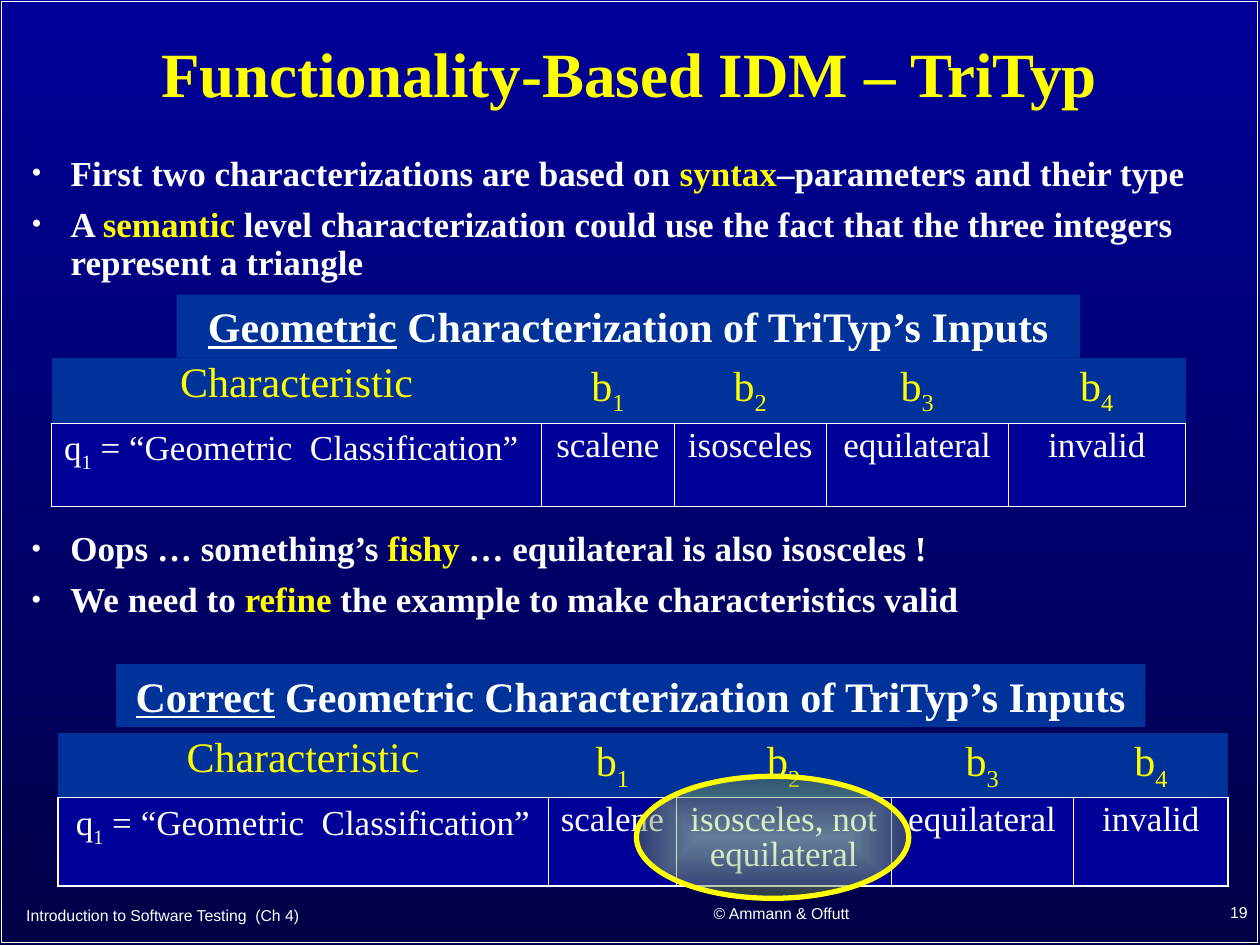
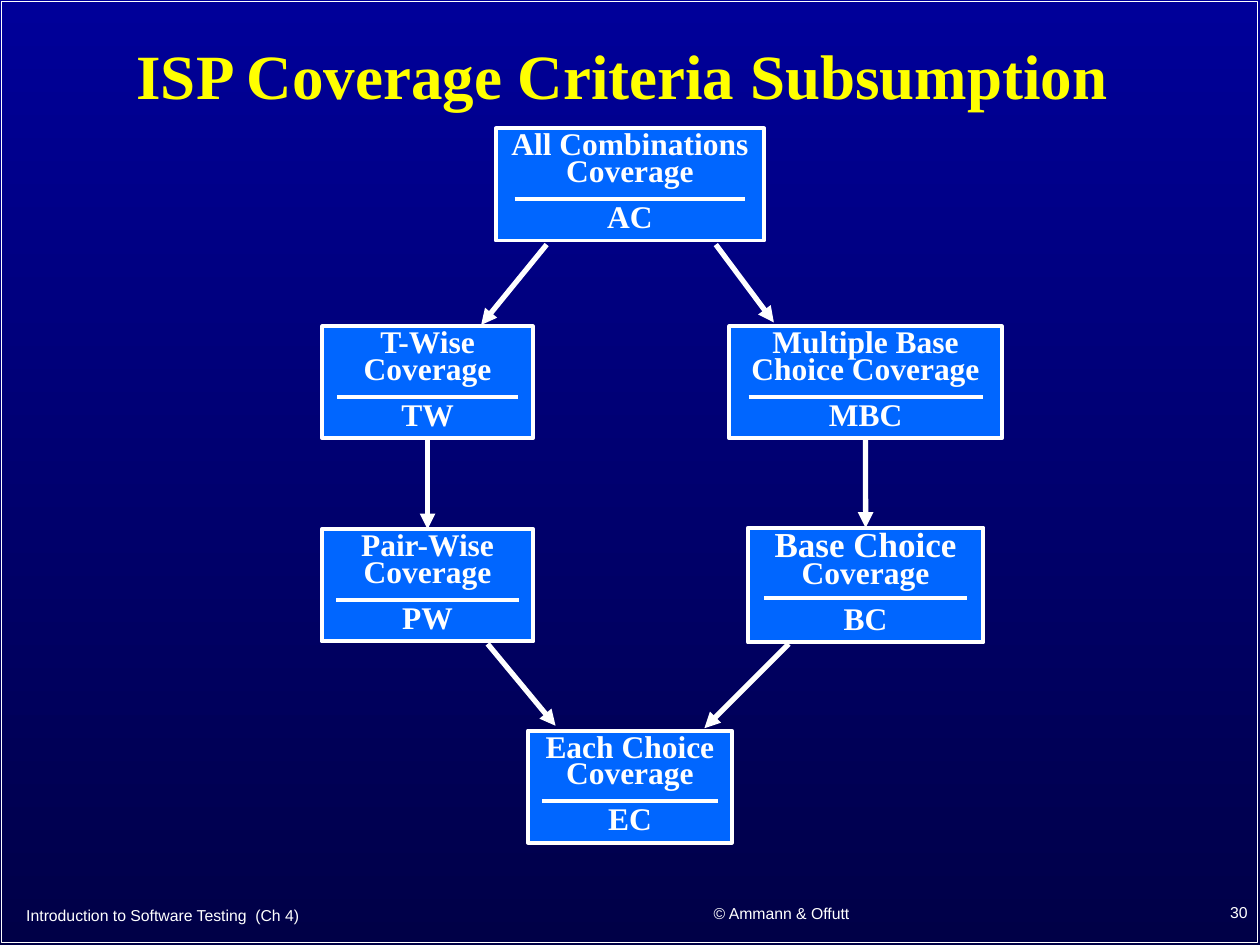
from pptx import Presentation
from pptx.dml.color import RGBColor
from pptx.enum.shapes import MSO_CONNECTOR, MSO_SHAPE
from pptx.enum.text import MSO_ANCHOR, MSO_AUTO_SIZE, PP_ALIGN
from pptx.oxml import parse_xml
from pptx.oxml.ns import nsdecls, qn
from pptx.util import Cm, Pt

# Shared style
SERIF, SANS = "Times New Roman", "Arial"
WHITE, YELLOW = "FFFFFF", "FFFF00"
NAVY, NIGHT, BAND, NODE = "000099", "000047", "003399", "0066FF"
LEFT, CENTER, RIGHT = PP_ALIGN.LEFT, PP_ALIGN.CENTER, PP_ALIGN.RIGHT
HAIR, OUTLINE = 0.45, 1.08
NO_STYLE = "{2D5ABB26-0587-4C30-8999-92F81FD0307C}"


def rgb(color):
    return RGBColor.from_string(color)


def xml(tag, inner="", **attrs):
    pairs = "".join(f' {k}="{v}"' for k, v in attrs.items())
    return parse_xml(f"<a:{tag} {nsdecls('a')}{pairs}>{inner}</a:{tag}>")


def write(p, text, mark=None, **fmt):
    """Add runs to a paragraph; the parts between asterisks also take the mark format."""
    for i, part in enumerate(text.split("*")):
        if not part:
            continue
        style = {"size": 20, "color": WHITE, "font": SERIF, **fmt}
        if i % 2:
            style.update(mark)
        r = p.add_run()
        r.text = part
        r.font.name = style["font"]
        r.font.size = Pt(style["size"])
        r.font.color.rgb = rgb(style["color"])
        r.font.bold = style.get("bold", False)
        r.font.underline = style.get("underline", False)
        if "baseline" in style:
            r.font._element.set("baseline", str(style["baseline"]))


class Deck:
    def __init__(self):
        self.prs = Presentation()
        self.prs.slide_width, self.prs.slide_height = Cm(25.4), Cm(19.05)
        fill = self.prs.slide_master.background.fill
        fill.gradient()
        fill.gradient_angle = 270
        for stop, color in zip(fill.gradient_stops, (NAVY, NIGHT)):
            stop.color.rgb = rgb(color)
        self.s = None

    def slide(self, layout, title, title_box, number):
        self.s = self.prs.slides.add_slide(self.prs.slide_layouts[layout])
        self.shape(MSO_SHAPE.RECTANGLE, (0.03, 0.03, 25.32, 18.97), line=WHITE, width=1)
        # Title
        sp = self.s.shapes.title
        self.place(sp, title_box)
        tf = self.frame(sp, MSO_ANCHOR.MIDDLE)
        self.para(tf, 0, title, align=CENTER, spacing=0.9, size=36, color=YELLOW, bold=True)
        # Footers
        for text, box, align in (
            ("Introduction to Software Testing  (Ch 4)", (0.28, 17.96, 10.95, 0.97), LEFT),
            ("© Ammann & Offutt", (11.73, 17.91, 8.05, 0.99), CENTER),
            (str(number), (20.12, 17.88, 5.28, 1.02), RIGHT),
        ):
            tf = self.frame(self.textbox(box), MSO_ANCHOR.MIDDLE)
            self.para(tf, 0, text, align=align, size=9, font=SANS)

    def place(self, sp, box):
        sp.left, sp.top, sp.width, sp.height = map(Cm, box)

    def textbox(self, box):
        return self.s.shapes.add_textbox(*map(Cm, box))

    def frame(self, sp, anchor=MSO_ANCHOR.TOP):
        tf = sp.text_frame
        tf.word_wrap = True
        tf.auto_size = MSO_AUTO_SIZE.NONE
        tf.vertical_anchor = anchor
        return tf

    def para(self, tf, i, text, align=LEFT, spacing=1.0, before=0, bullet=False, **fmt):
        p = tf.add_paragraph() if i else tf.paragraphs[0]
        if bullet:
            pPr = p._p.get_or_add_pPr()
            pPr.set("marL", str(Cm(0.79)))
            pPr.set("indent", str(-Cm(0.79)))
            pPr.append(xml("buClr", f'<a:srgbClr val="{WHITE}"/>'))
            pPr.append(xml("buSzPct", val=85000))
            pPr.append(xml("buFont", typeface=SERIF))
            pPr.append(xml("buChar", char="•"))
        p.alignment = align
        p.line_spacing = spacing
        p.space_before = Pt(before if i else 0)
        write(p, text, **fmt)

    def bullets(self, sp, box, items):
        self.place(sp, box)
        tf = self.frame(sp)
        for i, item in enumerate(items):
            self.para(tf, i, item, spacing=0.9, before=7.5, bullet=True,
                      bold=True, mark={"color": YELLOW})

    def shape(self, kind, box, fill=None, line=None, width=1):
        sp = self.s.shapes.add_shape(kind, *map(Cm, box))
        sp.shadow.inherit = False
        if fill:
            sp.fill.solid()
            sp.fill.fore_color.rgb = rgb(fill)
        else:
            sp.fill.background()
        if line:
            sp.line.color.rgb = rgb(line)
            sp.line.width = Pt(width)
        else:
            sp.line.fill.background()
        return sp

    def heading(self, text, box):
        tf = self.frame(self.shape(MSO_SHAPE.RECTANGLE, box, BAND))
        self.para(tf, 0, text, align=CENTER, size=24, bold=True, mark={"underline": True})

    def table(self, left, top, cols, rows, cells, first_align):
        box = (left, top, sum(cols), sum(rows))
        t = self.s.shapes.add_table(len(rows), len(cols), *map(Cm, box)).table
        t.first_row = t.horz_banding = False
        t._tbl.tblPr.find(qn("a:tableStyleId")).text = NO_STYLE
        for col, width in zip(t.columns, cols):
            col.width = Cm(width)
        for row, height in zip(t.rows, rows):
            row.height = Cm(height)
        last = len(cols) - 1
        for i, texts in enumerate(cells):
            for j, text in enumerate(texts):
                cell = t.cell(i, j)
                if i == 0:
                    self.borders(cell, B=HAIR)
                else:
                    self.borders(cell, L=HAIR if j else OUTLINE,
                                 R=OUTLINE if j == last else HAIR, T=HAIR, B=OUTLINE)
                cell.fill.solid()
                cell.fill.fore_color.rgb = rgb(NAVY if i else BAND)
                self.para(cell.text_frame, 0, text, spacing=0.9,
                          align=first_align if i and j == 0 else CENTER,
                          size=20 if i else 24, color=WHITE if i else YELLOW,
                          mark={"baseline": -25000})

    def borders(self, cell, **sides):
        tcPr = cell._tc.get_or_add_tcPr()
        solid = f'<a:solidFill><a:srgbClr val="{WHITE}"/></a:solidFill>'
        for side, width in sides.items():
            tcPr.append(xml(f"ln{side}", solid, w=int(Pt(width))))

    def highlight(self, box):
        sp = self.shape(MSO_SHAPE.OVAL, box, line=YELLOW, width=3)
        stops = "".join(
            f'<a:gs pos="{pos}"><a:srgbClr val="{color}"><a:alpha val="{alpha}"/></a:srgbClr></a:gs>'
            for pos, color, alpha in ((0, "CCFF99", 50000), (100000, "5E7647", 48000)))
        grad = xml("gradFill", f'<a:gsLst>{stops}</a:gsLst><a:path path="rect">'
                   '<a:fillToRect l="50000" t="50000" r="50000" b="50000"/></a:path>')
        spPr = sp._element.spPr
        spPr.replace(spPr.find(qn("a:noFill")), grad)

    def connector(self, ends=(0, 0, 0, 0), width=3, arrow=True):
        c = self.s.shapes.add_connector(MSO_CONNECTOR.STRAIGHT, *map(Cm, ends))
        c.line.color.rgb = rgb(WHITE)
        c.line.width = Pt(width)
        spPr = c._element.spPr
        if arrow:
            spPr.find(qn("a:ln")).append(xml("tailEnd", type="triangle"))
        spPr.append(xml("effectLst"))
        return c

    def criterion(self, name, short, center, top, width, height=2.26):
        left = center - width / 2
        sp = self.shape(MSO_SHAPE.RECTANGLE, (left, top, width, height), NODE, WHITE, 2.25)
        tf = self.frame(sp)
        for i, text in enumerate((name, short)):
            self.para(tf, i, text, align=CENTER, spacing=0.7, before=11.2,
                      size=18, bold=True, mark={"size": 20})
        # Rule between name and abbreviation
        inset, y = 0.07 * width, top + 1.42
        self.connector((left + inset, y, left + width - inset, y), 2.25, arrow=False)
        return sp


def tritype_slide(d):
    d.slide(1, "Functionality-Based IDM – TriTyp", (0.38, 0.28, 24.61, 2.54), 19)
    d.bullets(d.s.placeholders[1], (0.38, 3.02, 24.61, 3.02), [
        "First two characterizations are based on *syntax*–parameters and their type",
        "A *semantic* level characterization could use the fact that the three integers "
        "represent a triangle",
    ])
    header = ["Characteristic"] + [f"b*{n}*" for n in range(1, 5)]
    question = "q*1* = “Geometric  Classification”"

    # First characterization
    d.heading("*Geometric* Characterization of TriTyp’s Inputs", (3.56, 5.94, 18.21, 1.27))
    d.table(1.04, 7.21, (9.88, 2.67, 3.07, 3.66, 3.58), (1.32, 1.68),
            [header, [question, "scalene", "isosceles", "equilateral", "invalid"]], LEFT)

    box = (0.38, 10.59, 24.61, 2.16)
    d.bullets(d.textbox(box), box, [
        "Oops … something’s *fishy* … equilateral is also isosceles !",
        "We need to *refine* the example to make characteristics valid",
    ])

    # Corrected characterization
    d.heading("*Correct* Geometric Characterization of TriTyp’s Inputs", (2.34, 13.39, 20.75, 1.27))
    d.table(1.17, 14.78, (9.88, 2.59, 4.32, 3.68, 3.12), (1.3, 1.78),
            [header, [question, "scalene", "isosceles, not equilateral", "equilateral", "invalid"]],
            CENTER)
    d.highlight((12.83, 15.65, 5.49, 2.46))


def subsumption_slide(d):
    d.slide(5, "ISP Coverage Criteria Subsumption ", (1.65, 0.28, 22.1, 2.62), 30)
    left, middle, right = 8.62, 12.7, 17.45

    # Criteria
    d.criterion("All Combinations Coverage", "AC", middle, 2.59, 5.41)
    tw = d.criterion("T-Wise Coverage", "TW", left, 6.58, 4.24)
    mbc = d.criterion("Multiple Base Choice Coverage", "MBC", right, 6.58, 5.49)
    pw = d.criterion("Pair-Wise Coverage", "PW", left, 10.67, 4.27)
    bc = d.criterion("*Base Choice *Coverage", "BC", right, 10.64, 4.75, 2.31)
    d.criterion("Each Choice Coverage", "EC", middle, 14.73, 4.11)

    # Subsumption arrows
    for upper, lower in ((tw, pw), (mbc, bc)):
        c = d.connector()
        c.begin_connect(upper, 2)
        c.end_connect(lower, 0)
    for ends in ((11.02, 4.93, 9.7, 6.55), (14.43, 4.93, 15.6, 6.5),
                 (9.83, 12.98, 11.2, 14.63), (15.9, 12.98, 14.2, 14.68)):
        d.connector(ends)


def main():
    d = Deck()
    tritype_slide(d)
    subsumption_slide(d)
    d.prs.save("out.pptx")


if __name__ == "__main__":
    main()
